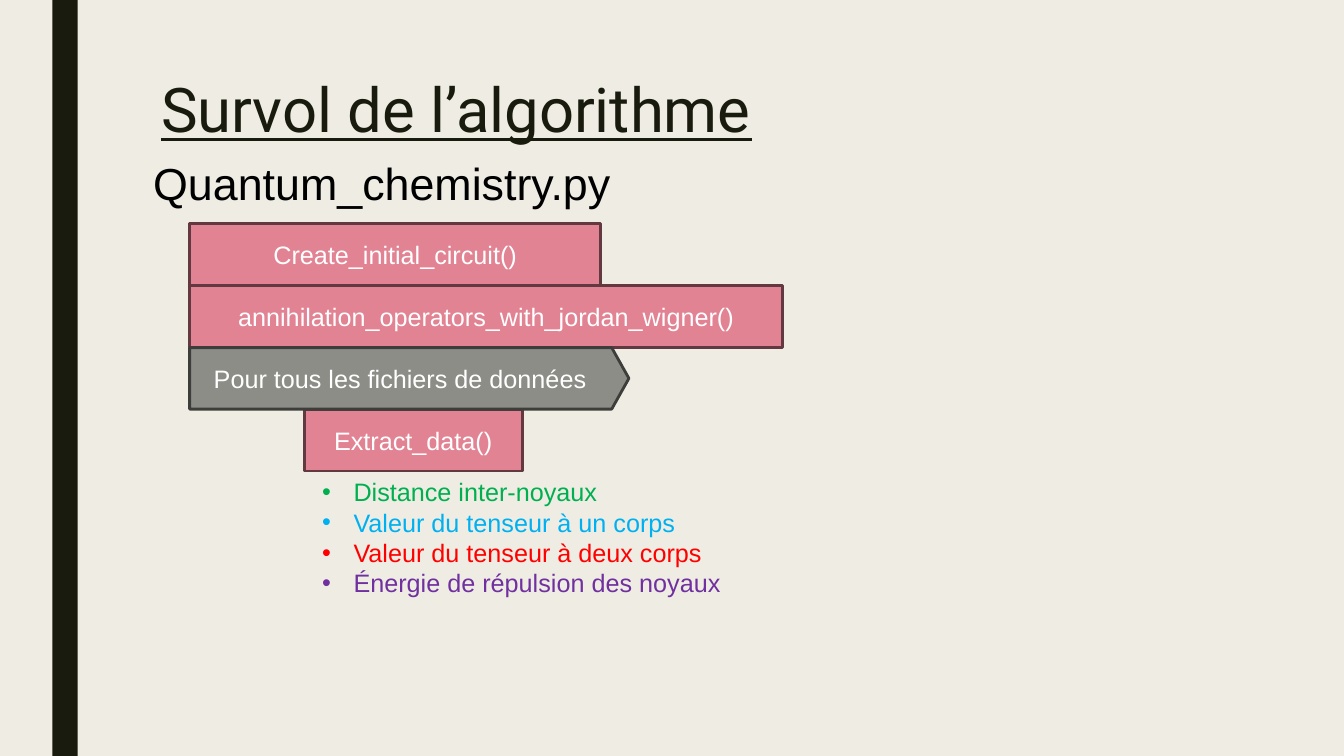
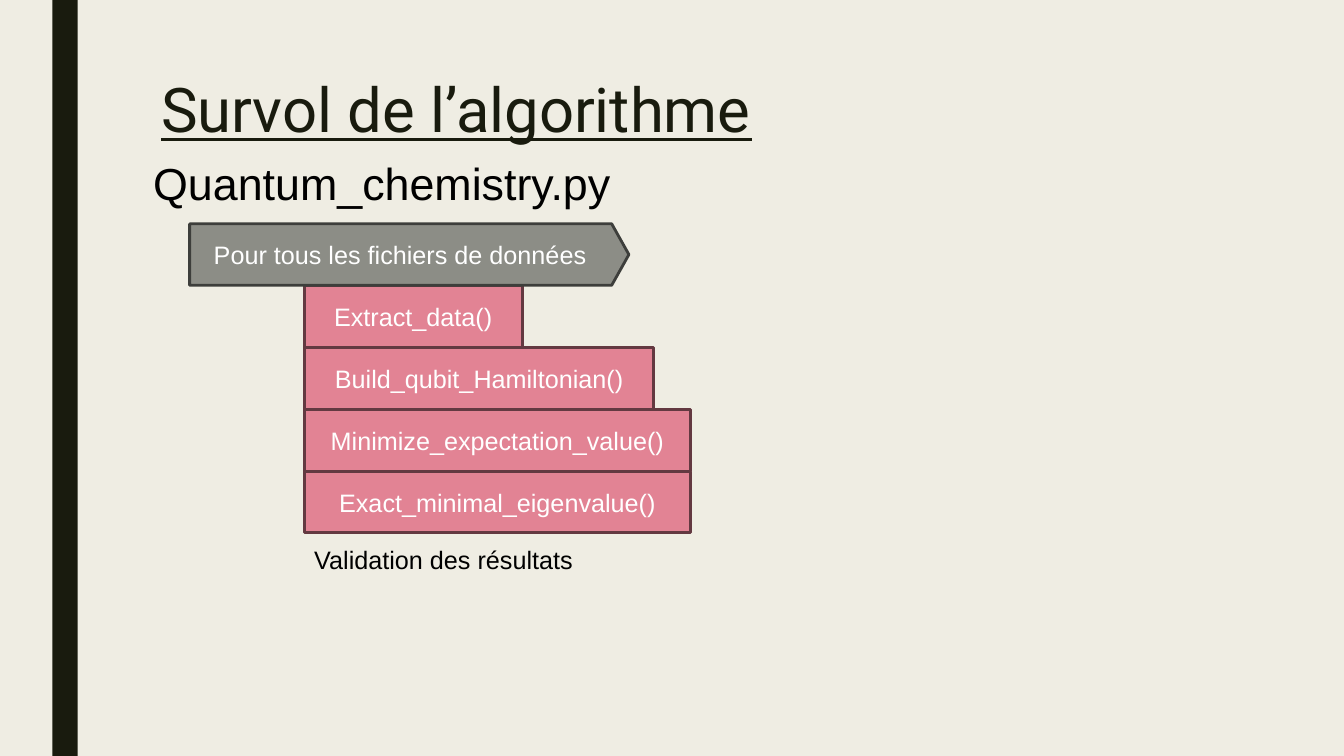
from dataclasses import dataclass
from typing import Optional

from lxml.etree import SubElement
from pptx import Presentation
from pptx.dml.color import RGBColor
from pptx.enum.shapes import MSO_SHAPE
from pptx.enum.text import MSO_ANCHOR, PP_ALIGN
from pptx.oxml.ns import qn
from pptx.util import Cm, Pt

COLORS = {
    "background": "EFEDE3",
    "ink": "191B0E",
    "black": "000000",
    "white": "FFFFFF",
    "call": "E28394",
    "call_edge": "633941",
    "loop": "8C8D86",
    "loop_edge": "3D3E3B",
    "green": "00B050",
    "blue": "00B0F0",
    "red": "FF0000",
    "purple": "7030A0",
}
PAGE_WIDTH, PAGE_HEIGHT = Cm(33.87), Cm(19.05)
STEP_LEFT, NESTED_LEFT = 4.78, 7.67
STEP_TOP, STEP_PITCH, STEP_HEIGHT = 5.64, 1.56, 1.55
BULLET_INDENT = Cm(0.79)


@dataclass(frozen=True)
class Step:
    label: str
    width: float
    nested: bool = True
    loop: bool = False


@dataclass(frozen=True)
class Note:
    text: str
    color: str


LOOP = Step("Pour tous les fichiers de données", 11.07, nested=False, loop=True)
EXTRACT = Step("Extract_data()", 5.49)

SETUP_STEPS = [
    Step("Create_initial_circuit()", 10.36, nested=False),
    Step("annihilation_operators_with_jordan_wigner()", 14.94, nested=False),
    LOOP,
    EXTRACT,
]
LOOP_STEPS = [
    LOOP,
    EXTRACT,
    Step("Build_qubit_Hamiltonian()", 8.81),
    Step("Minimize_expectation_value()", 9.73),
    Step("Exact_minimal_eigenvalue()", 9.73),
]
EXTRACTED_DATA = [
    Note("Distance inter-noyaux", "green"),
    Note("Valeur du tenseur à un corps", "blue"),
    Note("Valeur du tenseur à deux corps", "red"),
    Note("Énergie de répulsion des noyaux", "purple"),
]


def rgb(name: str) -> RGBColor:
    return RGBColor.from_string(COLORS[name])


def write(paragraph, text: str, *, size: float = 18, color: str = "black",
          font: str = "Arial", underline: bool = False, bullet: bool = False,
          align: PP_ALIGN = PP_ALIGN.LEFT,
          line_spacing: Optional[float] = None) -> None:
    paragraph.alignment = align
    if line_spacing:
        paragraph.line_spacing = line_spacing
    if bullet:
        properties = paragraph._p.get_or_add_pPr()
        properties.set("marL", str(BULLET_INDENT))
        properties.set("indent", str(-BULLET_INDENT))
        SubElement(properties, qn("a:buFont")).set("typeface", "Arial")
        SubElement(properties, qn("a:buChar")).set("char", "•")
    run = paragraph.add_run()
    run.text = text
    run.font.name = font
    run.font.size = Pt(size)
    run.font.underline = underline
    run.font.color.rgb = rgb(color)


def add_text_frame(slide, left: float, top: float, width: float, height: float,
                   wrap: bool = True):
    frame = slide.shapes.add_textbox(Cm(left), Cm(top), Cm(width), Cm(height)).text_frame
    frame.word_wrap = wrap
    return frame


def add_block(slide, preset: MSO_SHAPE, left: float, top: float, width: float,
              height: float, fill: str, edge: Optional[str] = None):
    block = slide.shapes.add_shape(preset, Cm(left), Cm(top), Cm(width), Cm(height))
    block.shadow.inherit = False
    block.fill.solid()
    block.fill.fore_color.rgb = rgb(fill)
    if edge:
        block.line.color.rgb = rgb(edge)
        block.line.width = Pt(2)
    else:
        block.line.fill.background()
    return block


def add_step(slide, row: int, step: Step) -> None:
    kind = "loop" if step.loop else "call"
    block = add_block(slide, MSO_SHAPE.PENTAGON if step.loop else MSO_SHAPE.RECTANGLE,
                      NESTED_LEFT if step.nested else STEP_LEFT,
                      STEP_TOP + row * STEP_PITCH, step.width, STEP_HEIGHT,
                      kind, f"{kind}_edge")
    frame = block.text_frame
    frame.word_wrap = True
    frame.vertical_anchor = MSO_ANCHOR.MIDDLE
    if step.loop:
        block.adjustments[0] = 0.28
        frame.margin_right = Cm(0.5)
    write(frame.paragraphs[0], step.label, color="white", align=PP_ALIGN.CENTER)


def add_overview(deck, steps: list[Step]):
    slide = deck.slides.add_slide(deck.slide_layouts[6])
    add_block(slide, MSO_SHAPE.RECTANGLE, 1.32, 0, 0.64, 19.05, "ink")
    title = add_text_frame(slide, 3.81, 1.9, 26.67, 4.11)
    write(title.paragraphs[0], "Survol de l’algorithme", size=44, color="ink",
          font="Roboto", underline=True, line_spacing=0.89)
    script_name = add_text_frame(slide, 3.61, 3.96, 26.67, 1.55)
    write(script_name.paragraphs[0], "Quantum_chemistry.py", size=32, line_spacing=0.9)
    for row, step in sorted(enumerate(steps), key=lambda entry: entry[1].loop):
        add_step(slide, row, step)
    return slide


def main() -> None:
    deck = Presentation()
    deck.slide_width, deck.slide_height = PAGE_WIDTH, PAGE_HEIGHT
    background = deck.slide_master.background.fill
    background.solid()
    background.fore_color.rgb = rgb("background")

    setup = add_overview(deck, SETUP_STEPS)
    extracted = add_text_frame(setup, 7.87, 11.89, 10.57, 3.33)
    for index, note in enumerate(EXTRACTED_DATA):
        paragraph = extracted.add_paragraph() if index else extracted.paragraphs[0]
        write(paragraph, note.text, color=note.color, bullet=True)

    loop_body = add_overview(deck, LOOP_STEPS)
    validation = add_text_frame(loop_body, NESTED_LEFT, 13.59, 7.09, 1.02, wrap=False)
    write(validation.paragraphs[0], "Validation des résultats")

    deck.save("out.pptx")


if __name__ == "__main__":
    main()
